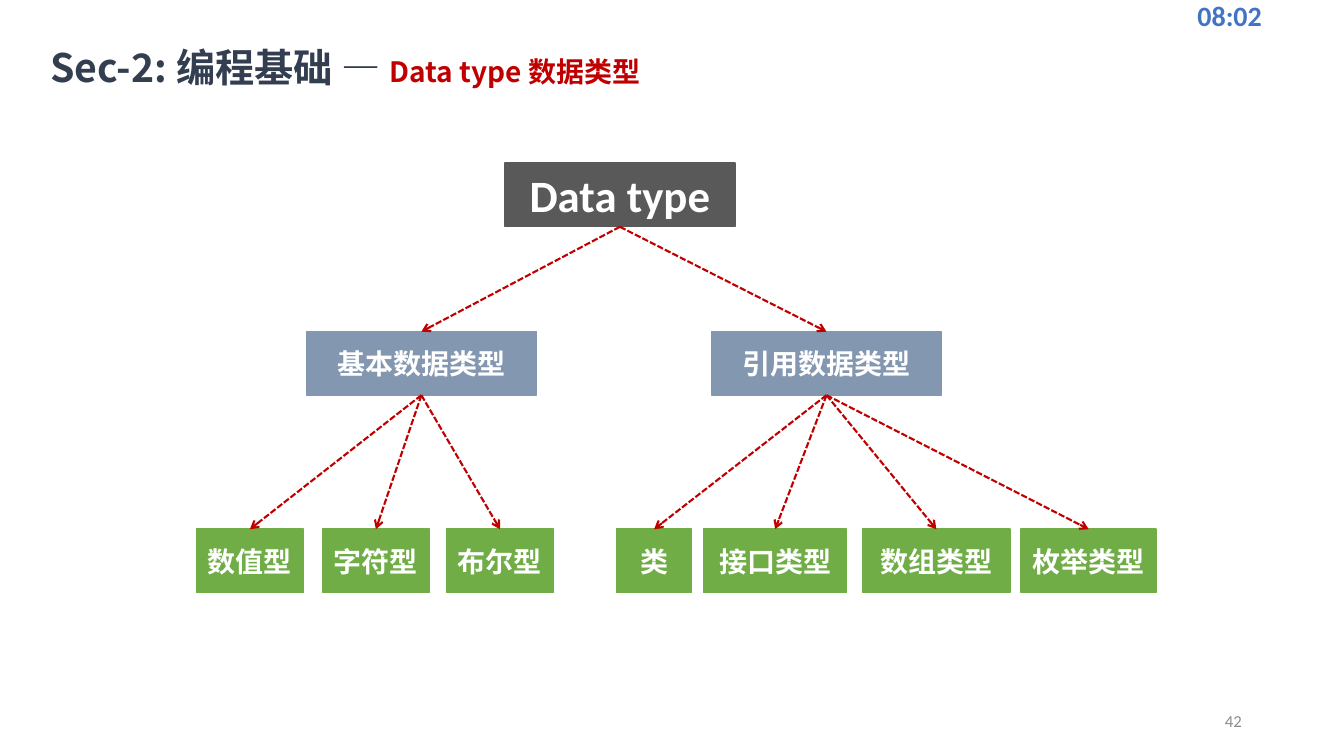
"""Build a slide with a tree of data types."""
from lxml.etree import SubElement
from pptx import Presentation
from pptx.dml.color import RGBColor
from pptx.enum.dml import MSO_LINE
from pptx.enum.shapes import MSO_CONNECTOR, MSO_SHAPE
from pptx.enum.text import MSO_ANCHOR, MSO_AUTO_SIZE, PP_ALIGN
from pptx.oxml.ns import qn
from pptx.util import Pt

COLORS = {
    "time": "4472C4", "number": "8C8C8C", "title": "333F50", "accent": "C00000",
    "root": "595959", "branch": "8497B0", "leaf": "70AD47", "white": "FFFFFF",
}
LATIN, CJK = "Calibri", "Noto Sans CJK SC"
BOX_HEIGHT = 45.4
ROOT_TOP, BRANCH_TOP, LEAF_TOP = 116.6, 236.9, 378
BRANCH_WIDTH = 164.2
TREE = [
    ("基本数据类型", 218.9,
     [("数值型", 140.4, 76.3), ("字符型", 230.4, 76.3), ("布尔型", 319, 76.3)]),
    ("引用数据类型", 508.3,
     [("类", 440.6, 53.3), ("接口类型", 502.6, 102.2),
      ("数组类型", 616.3, 105.1), ("枚举类型", 729.4, 96.5)]),
]


def rgb(name):
    return RGBColor.from_string(COLORS[name])


def style_font(font, size, color, name=CJK, bold=True):
    font.size, font.bold, font.name = Pt(size), bold, name
    font.color.rgb = rgb(color)


def add_title(slide, parts):
    sp = slide.shapes.title
    sp.left, sp.top, sp.width, sp.height = Pt(36), Pt(30.2), Pt(466.6), Pt(34.6)
    tf = sp.text_frame
    tf.margin_left = tf.margin_right = tf.margin_bottom = 0
    tf.margin_top = Pt(0.9)
    tf.vertical_anchor = MSO_ANCHOR.TOP
    tf.auto_size = MSO_AUTO_SIZE.SHAPE_TO_FIT_TEXT
    p = tf.paragraphs[0]
    p.alignment = PP_ALIGN.LEFT
    p.space_before = Pt(0.9)
    for text, size, color in parts:
        r = p.add_run()
        r.text = text
        style_font(r.font, size, color)
        SubElement(r.font._element, qn("a:ea"), typeface=CJK)


def add_label(slide, text, left, top, width, size, color, bold, align):
    sp = slide.shapes.add_textbox(Pt(left), Pt(top), Pt(width), Pt(28.8))
    tf = sp.text_frame
    tf.word_wrap = True
    tf.vertical_anchor = MSO_ANCHOR.MIDDLE
    p = tf.paragraphs[0]
    p.text, p.alignment = text, align
    style_font(p.font, size, color, LATIN, bold)


def add_box(slide, text, left, top, width, fill, size=20, font=CJK):
    sp = slide.shapes.add_shape(
        MSO_SHAPE.RECTANGLE, Pt(left), Pt(top), Pt(width), Pt(BOX_HEIGHT))
    sp.shadow.inherit = False
    sp.fill.solid()
    sp.fill.fore_color.rgb = sp.line.color.rgb = rgb(fill)
    sp.line.width = Pt(1)
    tf = sp.text_frame
    tf.word_wrap = True
    tf.vertical_anchor = MSO_ANCHOR.MIDDLE
    p = tf.paragraphs[0]
    p.text, p.alignment = text, PP_ALIGN.CENTER
    style_font(p.font, size, "white", font)
    SubElement(p.font._element, qn("a:ea"), typeface=CJK)
    return sp


def add_arrow(slide, parent, child):
    line = slide.shapes.add_connector(MSO_CONNECTOR.STRAIGHT, 0, 0, 0, 0)
    line.begin_connect(parent, 2)
    line.end_connect(child, 0)
    line.line.color.rgb = rgb("accent")
    line.line.width = Pt(1.5)
    line.line.dash_style = MSO_LINE.SQUARE_DOT
    sp_pr = line._element.spPr
    SubElement(sp_pr.find(qn("a:ln")), qn("a:tailEnd"), type="arrow")
    SubElement(sp_pr, qn("a:effectLst"))


def main():
    prs = Presentation()
    prs.slide_width, prs.slide_height = Pt(960), Pt(540)
    slide = prs.slides.add_slide(prs.slide_layouts[5])
    add_label(slide, "08:02", 848.2, -3.6, 128.2, 20, "time", True, PP_ALIGN.LEFT)
    add_label(slide, "42", 678.2, 500.4, 216, 12, "number", False, PP_ALIGN.RIGHT)
    add_title(slide, [("Sec-2: 编程基础 — ", 28, "title"),
                      ("Data type 数据类型", 20, "accent")])
    root = add_box(slide, "Data type", 360.7, ROOT_TOP, BRANCH_WIDTH, "root", 32, LATIN)
    for name, left, leaves in TREE:
        branch = add_box(slide, name, left, BRANCH_TOP, BRANCH_WIDTH, "branch")
        add_arrow(slide, root, branch)
        for text, leaf_left, width in leaves:
            leaf = add_box(slide, text, leaf_left, LEAF_TOP, width, "leaf")
            add_arrow(slide, branch, leaf)
    prs.save("out.pptx")


if __name__ == "__main__":
    main()
